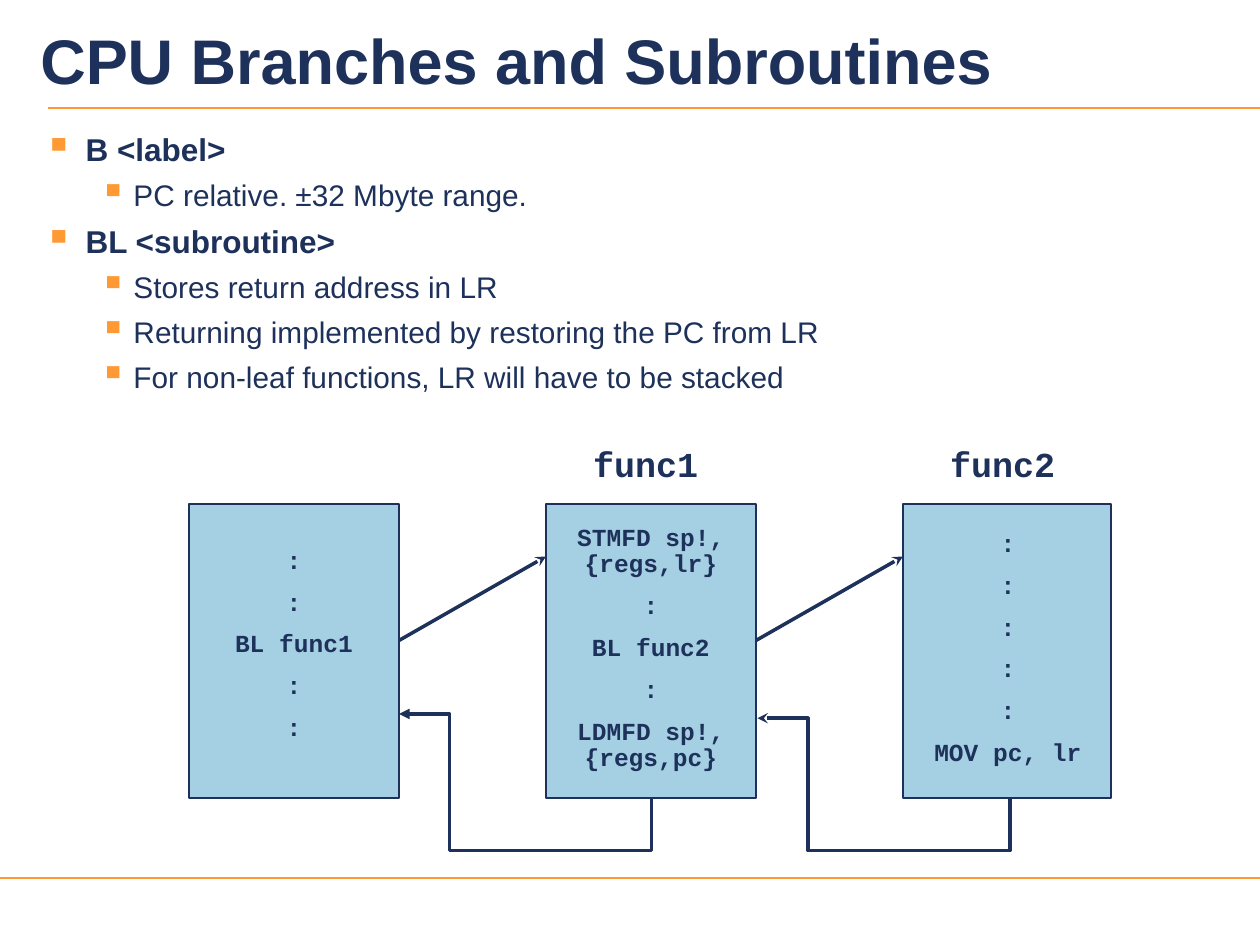
from dataclasses import dataclass

from lxml import etree
from pptx import Presentation
from pptx.dml.color import RGBColor
from pptx.enum.shapes import MSO_CONNECTOR, MSO_SHAPE
from pptx.enum.text import MSO_ANCHOR, PP_ALIGN
from pptx.oxml.ns import qn
from pptx.util import Inches, Pt

NAVY = RGBColor(0x1D, 0x31, 0x5B)
ORANGE = RGBColor(0xFF, 0x99, 0x33)
SKY = RGBColor(0xA5, 0xD0, 0xE3)
STRAIGHT = MSO_CONNECTOR.STRAIGHT
RECTANGLE = MSO_SHAPE.RECTANGLE
CENTER = PP_ALIGN.CENTER
TOP, MIDDLE = MSO_ANCHOR.TOP, MSO_ANCHOR.MIDDLE

# The slide is a grid of 60 columns by 45 rows of square cells.
CELL = Inches(10) // 60
BLOCK_TOP, BLOCK_ROWS, BLOCK_COLS = 24, 14, 10
CALL_ROW, ENTRY_ROW, RETURN_ROW = 30.5, 26.5, 40.5


@dataclass
class Level:
    size: float
    bold: bool
    left: float
    hanging: float
    before: float


@dataclass
class Block:
    """A routine: its grid column, label, code lines and code box."""
    col: float
    cols: float
    label: str
    code: list[str]
    code_box: tuple[float, float, float, float]


@dataclass
class Return:
    """The elbow line from a called routine back to its caller."""
    start_col: float
    turn_col: float
    end_col: float
    end_row: float
    head: str


HEADING = Level(18, True, 0.33, 0.33, 5.6)
DETAIL = Level(17, False, 0.71, 0.27, 5.2)

BULLETS = [
    (HEADING, "B <label>"),
    (DETAIL, "PC relative. ±32 Mbyte range."),
    (HEADING, "BL <subroutine>"),
    (DETAIL, "Stores return address in LR"),
    (DETAIL, "Returning implemented by restoring the PC from LR"),
    (DETAIL, "For non-leaf functions, LR will have to be stacked"),
]

BLOCKS = [
    Block(9, BLOCK_COLS, "", [":", ":", "BL func1", ":", ":"],
          (9, 25.8, 10, 9.8)),
    Block(26, BLOCK_COLS, "func1",
          ["STMFD sp!,{regs,lr}", ":", "BL func2", ":", "LDMFD sp!,{regs,pc}"],
          (25.25, 24.7, 11.5, 12.4)),
    Block(43, 9.9, "func2", [":"] * 5 + ["MOV pc, lr"], (43, 25, 10, 11.8)),
]

RETURNS = [
    Return(31.03, 21.4, 19, 34, "triangle"),
    Return(48.1, 38.47, 36.07, 34.2, "stealth"),
]


def grid(*cells: float) -> list[int]:
    return [round(c * CELL) for c in cells]


def style_line(shape, color: RGBColor, width: float, head: str = "") -> None:
    """Set a line's look, with an arrowhead at its end if one is named."""
    shape.line.color.rgb = color
    shape.line.width = Pt(width)
    if head:
        ln = shape.element.spPr.find(qn("a:ln"))
        etree.SubElement(ln, qn("a:tailEnd"), type=head)


def add_line(s, start: tuple[float, float], end: tuple[float, float],
             color: RGBColor, width: float, head: str = "") -> None:
    line = s.shapes.add_connector(STRAIGHT, *grid(*start, *end))
    style_line(line, color, width, head)
    etree.SubElement(line.element.spPr, qn("a:effectLst"))


def add_text_frame(s, box: tuple[float, float, float, float],
                   inset: tuple[float, float], anchor=TOP):
    tf = s.shapes.add_textbox(*grid(*box)).text_frame
    tf.word_wrap = True
    tf.vertical_anchor = anchor
    tf.margin_left = tf.margin_right = Inches(inset[0])
    tf.margin_top = tf.margin_bottom = Inches(inset[1])
    return tf


def add_paragraph(tf, index: int, text: str, before: float):
    p = tf.add_paragraph() if index else tf.paragraphs[0]
    p.text = text
    if index:
        p.space_before = Pt(before)
    return p


def style_runs(p, font: str, size: float, bold: bool) -> None:
    for r in p.runs:
        r.font.name = font
        r.font.size = Pt(size)
        r.font.bold = bold
        r.font.color.rgb = NAVY


def add_bullet(p, level: Level) -> None:
    pPr = p._p.get_or_add_pPr()
    pPr.set("marL", str(Inches(level.left)))
    pPr.set("indent", str(-Inches(level.hanging)))
    color = etree.SubElement(pPr, qn("a:buClr"))
    etree.SubElement(color, qn("a:srgbClr"), val=str(ORANGE))
    etree.SubElement(pPr, qn("a:buSzPct"), val="125000")
    etree.SubElement(pPr, qn("a:buChar"), char="▪")


def add_title(s, text: str) -> None:
    tf = add_text_frame(s, (1.38, 0.06, 58.62, 5.52), (0.09, 0.04), MIDDLE)
    tf.text = text
    style_runs(tf.paragraphs[0], "Arial", 36, True)


def add_bullets(s) -> None:
    tf = add_text_frame(s, (1.56, 5.94, 58.44, 14.22), (0.09, 0.04))
    for i, (level, text) in enumerate(BULLETS):
        p = add_paragraph(tf, i, text, level.before)
        p.level = 1 if level is DETAIL else 0
        add_bullet(p, level)
        style_runs(p, "Arial", level.size, level.bold)


def add_code(s, box: tuple[float, float, float, float],
             lines: list[str], size: float) -> None:
    tf = add_text_frame(s, box, (0.1, 0.05))
    for i, text in enumerate(lines):
        p = add_paragraph(tf, i, text, 8.8)
        p.alignment = CENTER
        p.line_spacing = 0.9
        style_runs(p, "Courier New", size, True)


def add_block(s, block: Block) -> None:
    sp = s.shapes.add_shape(
        RECTANGLE, *grid(block.col, BLOCK_TOP, block.cols, BLOCK_ROWS))
    sp.shadow.inherit = False
    sp.fill.solid()
    sp.fill.fore_color.rgb = SKY
    style_line(sp, NAVY, 1)
    add_code(s, block.code_box, block.code, 14)
    if block.label:
        add_code(s, (block.col + 1, 21, 7.5, 2.4), [block.label], 20)


def add_return(s, ret: Return) -> None:
    points = [(ret.start_col, RETURN_ROW), (ret.turn_col, RETURN_ROW),
              (ret.turn_col, ret.end_row), (ret.end_col, ret.end_row)]
    builder = s.shapes.build_freeform(
        *grid(ret.start_col, BLOCK_TOP + BLOCK_ROWS))
    builder.add_line_segments([grid(*pt) for pt in points], close=False)
    sp = builder.convert_to_shape()
    sp.shadow.inherit = False
    sp.fill.background()
    style_line(sp, NAVY, 2, ret.head)


def main() -> None:
    prs = Presentation()
    prs.slide_width, prs.slide_height = grid(60, 45)
    s = prs.slides.add_slide(prs.slide_layouts[6])
    add_line(s, (2.28, 5.16), (60, 5.16), ORANGE, 1)
    add_line(s, (0, 41.82), (60, 41.82), ORANGE, 1.5)
    add_title(s, "CPU Branches and Subroutines")
    add_bullets(s)
    for block in BLOCKS:
        add_block(s, block)
    for caller, callee in zip(BLOCKS, BLOCKS[1:]):
        add_line(s, (caller.col + caller.cols, CALL_ROW),
                 (callee.col, ENTRY_ROW), NAVY, 2, "stealth")
    for ret in RETURNS:
        add_return(s, ret)
    prs.save("out.pptx")


if __name__ == "__main__":
    main()
